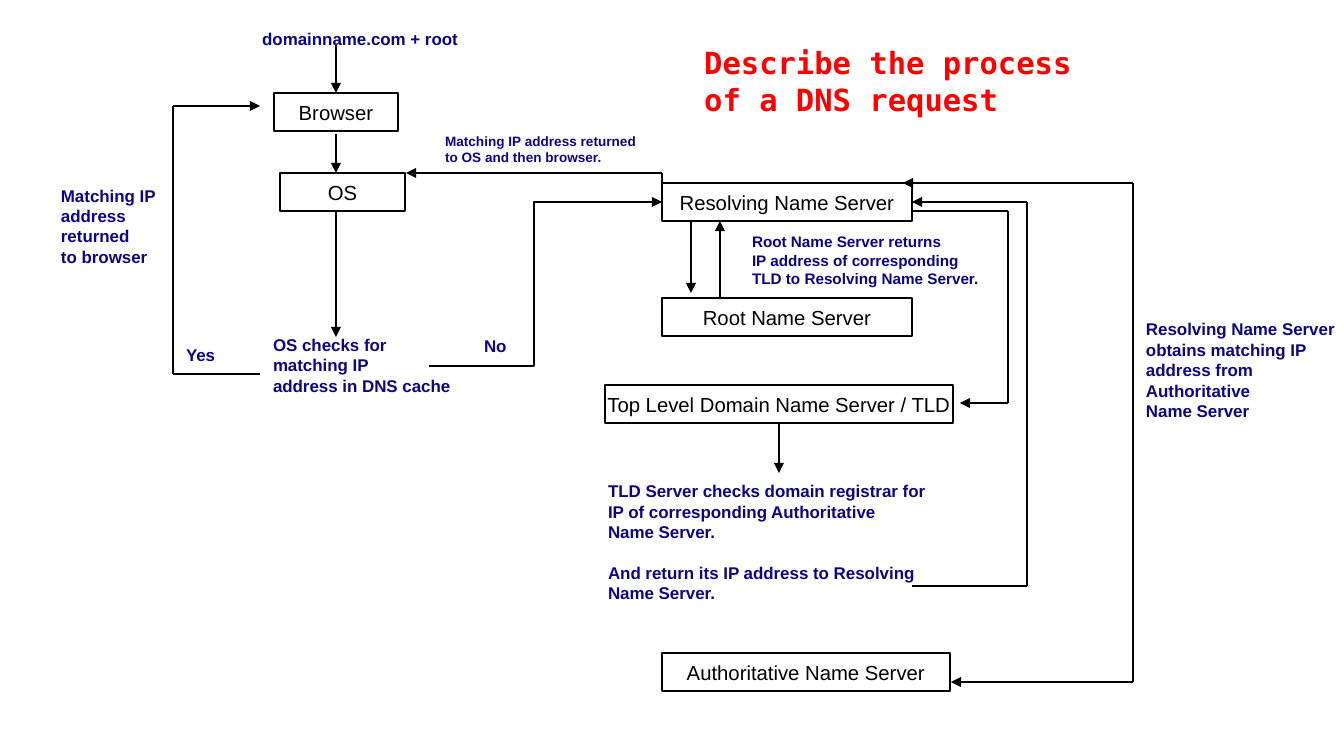
"""Build a one-slide flow diagram of how a DNS request is resolved."""
from dataclasses import dataclass
from itertools import pairwise
from typing import Optional

from pptx import Presentation
from pptx.dml.color import RGBColor
from pptx.enum.shapes import MSO_CONNECTOR as Link, MSO_SHAPE as Preset
from pptx.enum.text import MSO_ANCHOR as Anchor, PP_ALIGN as Align
from pptx.oxml.ns import qn
from pptx.shapes.autoshape import Shape
from pptx.shapes.connector import Connector
from pptx.slide import Slide
from pptx.text.text import TextFrame
from pptx.util import Emu, Pt
from lxml.etree import SubElement

PX_PER_INCH = 122
BLACK = RGBColor(0x00, 0x00, 0x00)
NAVY = RGBColor(0x0D, 0x05, 0x84)
RED = RGBColor(0xFF, 0x00, 0x00)
BODY_FONT = "Arial"
TITLE_FONT = "DejaVu Sans Mono"
TOP, LEFT, BOTTOM, RIGHT = range(4)
SERVER_HEIGHT = 38

Point = tuple[int, int]
Joint = tuple[str, int]


@dataclass(frozen=True)
class Server:
    name: str
    left: int
    top: int
    width: int


@dataclass(frozen=True)
class Note:
    lines: tuple[str, ...]
    left: int
    top: int
    width: int
    height: int = 38
    size: int = 10
    align: Align = Align.LEFT
    gap_before: Optional[int] = None


@dataclass(frozen=True)
class Route:
    points: tuple[Point, ...]
    arrow: bool = True
    weight: float = 1.5
    start: Optional[Joint] = None
    end: Optional[Joint] = None
    bend: Optional[float] = None


SERVERS = (
    Server("Authoritative Name Server", 662, 653, 288),
    Server("Browser", 274, 93, 124),
    Server("OS", 280, 173, 125),
    Server("Resolving Name Server", 662, 183, 250),
    Server("Root Name Server", 662, 298, 250),
    Server("Top Level Domain Name Server / TLD", 605, 385, 348),
)

NOTES = (
    Note(("domainname.com + root",), 211, 20, 298, align=Align.CENTER),
    Note(("OS checks for", "matching IP", "address in DNS cache"), 260, 346, 211),
    Note(("No",), 471, 327, 57),
    Note(("Yes",), 173, 336, 57),
    Note(("Matching IP", "address", "returned", "to browser"), 48, 183, 124, 86),
    Note(("Root Name Server returns", "IP address of corresponding",
          "TLD to Resolving Name Server."), 739, 241, 265, size=9),
    Note(("TLD Server checks domain registrar for", "IP of corresponding Authoritative",
          "Name Server.", "And return its IP address to Resolving", "Name Server."),
         595, 499, 360, 86, gap_before=3),
    Note(("Resolving Name Server", "obtains matching IP", "address from",
          "Authoritative", "Name Server"), 1133, 327, 298, 86),
    Note(("Matching IP address returned", "to OS and then browser."),
         432, 106, 240, 86, size=8),
)

ROUTES = (
    Route(((336, 45), (336, 93)), end=("Browser", TOP)),
    Route(((336, 134), (336, 173))),
    Route(((336, 211), (336, 337))),
    Route(((260, 374), (173, 374), (173, 106), (260, 106))),
    Route(((429, 366), (662, 202)), bend=0.45),
    Route(((691, 221), (691, 293))),
    Route(((720, 298), (720, 221))),
    Route(((912, 211), (1008, 211), (1008, 403), (960, 403))),
    Route(((779, 423), (779, 473)),
          start=("Top Level Domain Name Server / TLD", BOTTOM)),
    Route(((912, 586), (1027, 586), (1027, 202), (912, 202)),
          end=("Resolving Name Server", RIGHT)),
    Route(((1133, 183), (1133, 682), (951, 682))),
    Route(((1133, 183), (903, 183)), weight=1),
    Route(((662, 183), (662, 173)), arrow=False, weight=1),
    Route(((662, 173), (406, 173))),
)


def px(length: int) -> Emu:
    return Emu(round(length * 914400 / PX_PER_INCH))


def write_lines(frame: TextFrame, lines: tuple[str, ...], font: str, size: int,
                color: RGBColor, bold: bool, align: Align) -> None:
    for index, line in enumerate(lines):
        paragraph = frame.add_paragraph() if index else frame.paragraphs[0]
        paragraph.alignment = align
        run = paragraph.add_run()
        run.text = line
        run.font.name = font
        run.font.size = Pt(size)
        run.font.bold = bold
        run.font.color.rgb = color


def set_frame(frame: TextFrame) -> None:
    frame.word_wrap = False
    frame.vertical_anchor = Anchor.MIDDLE
    frame.margin_left = frame.margin_right = px(13)
    frame.margin_top = frame.margin_bottom = px(7)


def draw_title(slide: Slide) -> None:
    title = slide.shapes.title
    title.left, title.top, title.width, title.height = map(px, (692, 38, 499, 83))
    title.text_frame.word_wrap = True
    title.text_frame.vertical_anchor = Anchor.TOP
    write_lines(title.text_frame, ("Describe the process", "of a DNS request"),
                TITLE_FONT, 18, RED, True, Align.LEFT)


def draw_server(slide: Slide, server: Server) -> Shape:
    box = slide.shapes.add_shape(Preset.RECTANGLE, px(server.left), px(server.top),
                                 px(server.width), px(SERVER_HEIGHT))
    box.shadow.inherit = False
    box.fill.background()
    box.line.color.rgb = BLACK
    box.line.width = Pt(1.5)
    set_frame(box.text_frame)
    write_lines(box.text_frame, (server.name,), BODY_FONT, 12, BLACK, False, Align.CENTER)
    return box


def draw_note(slide: Slide, note: Note) -> None:
    frame = slide.shapes.add_textbox(px(note.left), px(note.top),
                                     px(note.width), px(note.height)).text_frame
    set_frame(frame)
    write_lines(frame, note.lines, BODY_FONT, note.size, NAVY, True, note.align)
    if note.gap_before is not None:
        frame.paragraphs[note.gap_before].space_before = Pt(12)


def draw_segment(slide: Slide, start: Point, end: Point, route: Route) -> Connector:
    kind = Link.STRAIGHT if route.bend is None else Link.ELBOW
    segment = slide.shapes.add_connector(kind, *map(px, (*start, *end)))
    segment.line.color.rgb = BLACK
    segment.line.width = Pt(route.weight)
    properties = segment.element.spPr
    SubElement(properties, qn("a:effectLst"))
    if route.bend is not None:
        SubElement(properties.prstGeom.get_or_add_avLst(), qn("a:gd"),
                   name="adj1", fmla=f"val {round(route.bend * 100000)}")
    return segment


def draw_route(slide: Slide, route: Route, boxes: dict[str, Shape]) -> None:
    segments = [draw_segment(slide, start, end, route)
                for start, end in pairwise(route.points)]
    if route.start:
        name, side = route.start
        segments[0].begin_connect(boxes[name], side)
    if route.end:
        name, side = route.end
        segments[-1].end_connect(boxes[name], side)
    if route.arrow:
        outline = segments[-1].element.spPr.get_or_add_ln()
        SubElement(outline, qn("a:tailEnd"), type="triangle")


def main() -> None:
    deck = Presentation()
    deck.slide_width, deck.slide_height = px(1344), px(756)
    slide = deck.slides.add_slide(deck.slide_layouts[5])
    draw_title(slide)
    boxes = {server.name: draw_server(slide, server) for server in SERVERS}
    for note in NOTES:
        draw_note(slide, note)
    for route in ROUTES:
        draw_route(slide, route, boxes)
    deck.save("out.pptx")


if __name__ == "__main__":
    main()
